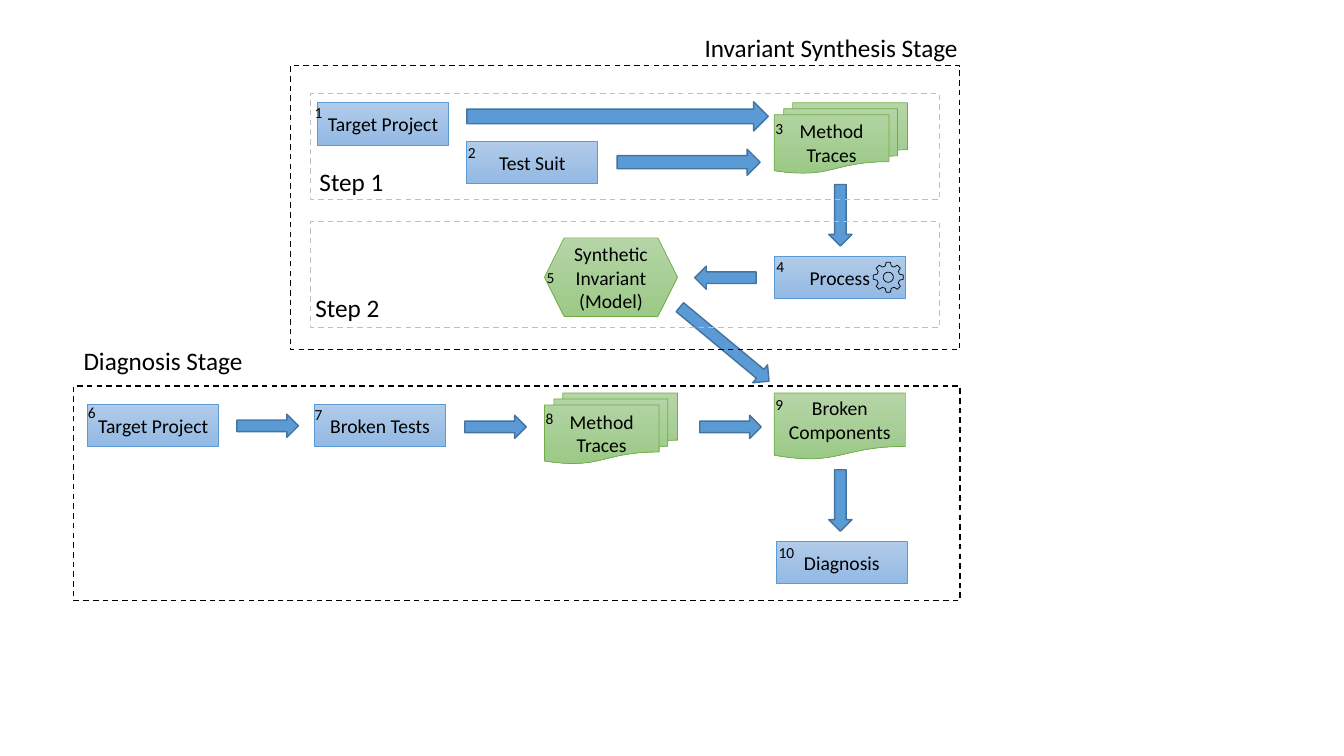
from dataclasses import dataclass
from math import cos, radians, sin

from pptx import Presentation
from pptx.dml.color import RGBColor
from pptx.enum.dml import MSO_LINE
from pptx.enum.shapes import MSO_SHAPE
from pptx.enum.text import MSO_ANCHOR, PP_ALIGN
from pptx.util import Inches, Pt


# Colours and type sizes
@dataclass(frozen=True)
class Theme:
    font: str = "Calibri"
    text: str = "000000"
    arrow: str = "5B9BD5"
    arrow_line: str = "43739E"
    blue: tuple[str, str, str] = ("B1CBE9", "93B9E4", "5B9BD5")  # top, bottom, line
    green: tuple[str, str, str] = ("B5D5A7", "9CC987", "70AD47")
    stage: str = "000000"
    step: str = "BFBFBF"
    heading_size: int = 18
    node_size: int = 14
    number_size: int = 11


T = Theme()
PROCESS = MSO_SHAPE.FLOWCHART_PROCESS
DOCUMENT = MSO_SHAPE.FLOWCHART_DOCUMENT
DOCUMENTS = MSO_SHAPE.FLOWCHART_MULTIDOCUMENT


@dataclass(frozen=True)
class Node:
    number: int
    text: str
    x: float
    y: float
    num_x: float  # centre of the number
    num_y: float
    kind: MSO_SHAPE = PROCESS
    w: float = 1.3
    h: float = 0.42


@dataclass(frozen=True)
class Arrow:
    x: float
    y: float
    w: float = 0.61
    h: float = 0.23
    rotation: float = 0


@dataclass(frozen=True)
class Frame:
    x: float
    y: float
    w: float
    h: float
    color: str


@dataclass(frozen=True)
class Heading:
    text: str
    x: float
    y: float
    w: float


ARROWS = [
    Arrow(4.63, 1.01, 2.99, 0.29),
    Arrow(6.12, 1.48, 1.42, 0.26),
    Arrow(8.03, 2.02, rotation=90),
    Arrow(6.89, 2.64, rotation=180),
    Arrow(6.61, 3.3, 1.15, rotation=39.7),
    Arrow(2.35, 4.11),
    Arrow(4.61, 4.12),
    Arrow(6.94, 4.12),
    Arrow(8.03, 4.85, rotation=90),
]
NODES = [
    Node(1, "Target Project", 3.15, 1.02, 3.16, 0.97),
    Node(2, "Test Suit", 4.63, 1.4, 4.68, 1.37),
    Node(3, "Method Traces", 7.68, 1.02, 7.73, 1.13, DOCUMENTS, 1.32, 0.7),
    Node(4, "Process", 7.68, 2.54, 7.74, 2.5),
    Node(5, "Synthetic Invariant\v(Model)", 5.4, 2.36, 5.46, 2.61,
         MSO_SHAPE.HEXAGON, 1.32, 0.78),
    Node(6, "Target Project", 0.87, 4.01, 0.91, 3.95),
    Node(7, "Broken Tests", 3.12, 4.01, 3.16, 3.97),
    Node(8, "Method Traces", 5.4, 3.9, 5.45, 4.01, DOCUMENTS, 1.32, 0.7),
    Node(9, "Broken Components", 7.68, 3.9, 7.73, 3.87, DOCUMENT, 1.3, 0.66),
    Node(10, "Diagnosis", 7.7, 5.37, 7.8, 5.34),
]
FRAMES = [
    Frame(2.88, 0.65, 6.64, 2.82, T.stage),
    Frame(3.08, 0.93, 6.24, 1.05, T.step),
    Frame(3.08, 2.2, 6.24, 1.05, T.step),
    Frame(0.73, 3.83, 8.79, 2.13, T.stage),
]
HEADINGS = [
    Heading("Invariant Synthesis Stage", 6.89, 0.27, 2.84),
    Heading("Step 1", 3.07, 1.6, 0.98),
    Heading("Step 2", 3.03, 2.85, 0.98),
    Heading("Diagnosis Stage", 0.73, 3.38, 2.09),
]


def set_line(shape, color: str, width: float) -> None:
    shape.shadow.inherit = False
    shape.line.color.rgb = RGBColor.from_string(color)
    shape.line.width = Pt(width)


def write(tf, text: str, size: int, align: PP_ALIGN) -> None:
    tf.word_wrap = True
    p = tf.paragraphs[0]
    p.text = text
    p.alignment = align
    p.font.name = T.font
    p.font.size = Pt(size)
    p.font.color.rgb = RGBColor.from_string(T.text)


def add_preset(s, kind: MSO_SHAPE, item: Node | Arrow | Frame):
    return s.shapes.add_shape(kind, Inches(item.x), Inches(item.y),
                              Inches(item.w), Inches(item.h))


def add_arrow(s, arrow: Arrow) -> None:
    sp = add_preset(s, MSO_SHAPE.RIGHT_ARROW, arrow)
    sp.rotation = arrow.rotation
    sp.fill.solid()
    sp.fill.fore_color.rgb = RGBColor.from_string(T.arrow)
    set_line(sp, T.arrow_line, 1)


def add_node(s, node: Node) -> None:
    sp = add_preset(s, node.kind, node)
    top, bottom, line = T.blue if node.kind == PROCESS else T.green
    sp.fill.gradient()
    sp.fill.gradient_angle = 270
    for stop, color in zip(sp.fill.gradient_stops, (top, bottom)):
        stop.color.rgb = RGBColor.from_string(color)
    set_line(sp, line, 0.5)
    sp.text_frame.vertical_anchor = MSO_ANCHOR.MIDDLE
    write(sp.text_frame, node.text, T.node_size, PP_ALIGN.CENTER)


def add_number(s, node: Node) -> None:
    w = 0.3
    tb = s.shapes.add_textbox(Inches(node.num_x - w / 2), Inches(node.num_y),
                              Inches(w), Inches(0.29))
    tf = tb.text_frame
    tf.margin_left = tf.margin_right = 0
    write(tf, str(node.number), T.number_size, PP_ALIGN.CENTER)


def add_frame(s, frame: Frame) -> None:
    sp = add_preset(s, MSO_SHAPE.RECTANGLE, frame)
    sp.fill.background()
    set_line(sp, frame.color, 1)
    sp.line.dash_style = MSO_LINE.DASH


def add_heading(s, heading: Heading) -> None:
    tb = s.shapes.add_textbox(Inches(heading.x), Inches(heading.y),
                              Inches(heading.w), Inches(0.4))
    write(tb.text_frame, heading.text, T.heading_size, PP_ALIGN.LEFT)


def add_gear(s, cx: float, cy: float, teeth: int = 8) -> None:
    def polar(radius: float, degrees: float) -> tuple[int, int]:
        a = radians(degrees)
        return Inches(cx + radius * cos(a)), Inches(cy + radius * sin(a))

    tooth = [(0.115, -15), (0.15, -8), (0.15, 8), (0.115, 15)]
    rim = [polar(r, k * 360 / teeth + a) for k in range(teeth) for r, a in tooth]
    hole = [polar(0.05, a) for a in range(0, 360, 15)]
    builder = s.shapes.build_freeform(*rim[0])
    builder.add_line_segments(rim[1:])
    builder.move_to(*hole[0])
    builder.add_line_segments(hole[1:])
    sp = builder.convert_to_shape()
    sp.fill.background()
    set_line(sp, T.text, 0.5)


def main() -> None:
    prs = Presentation()
    prs.slide_width, prs.slide_height = Inches(13.33), Inches(7.5)
    s = prs.slides.add_slide(prs.slide_layouts[6])

    # Flow
    for arrow in ARROWS:
        add_arrow(s, arrow)
    for node in NODES:
        add_node(s, node)
        add_number(s, node)
    add_gear(s, 8.81, 2.75)

    # Stages and steps
    for frame in FRAMES:
        add_frame(s, frame)
    for heading in HEADINGS:
        add_heading(s, heading)

    prs.save("out.pptx")


if __name__ == "__main__":
    main()
